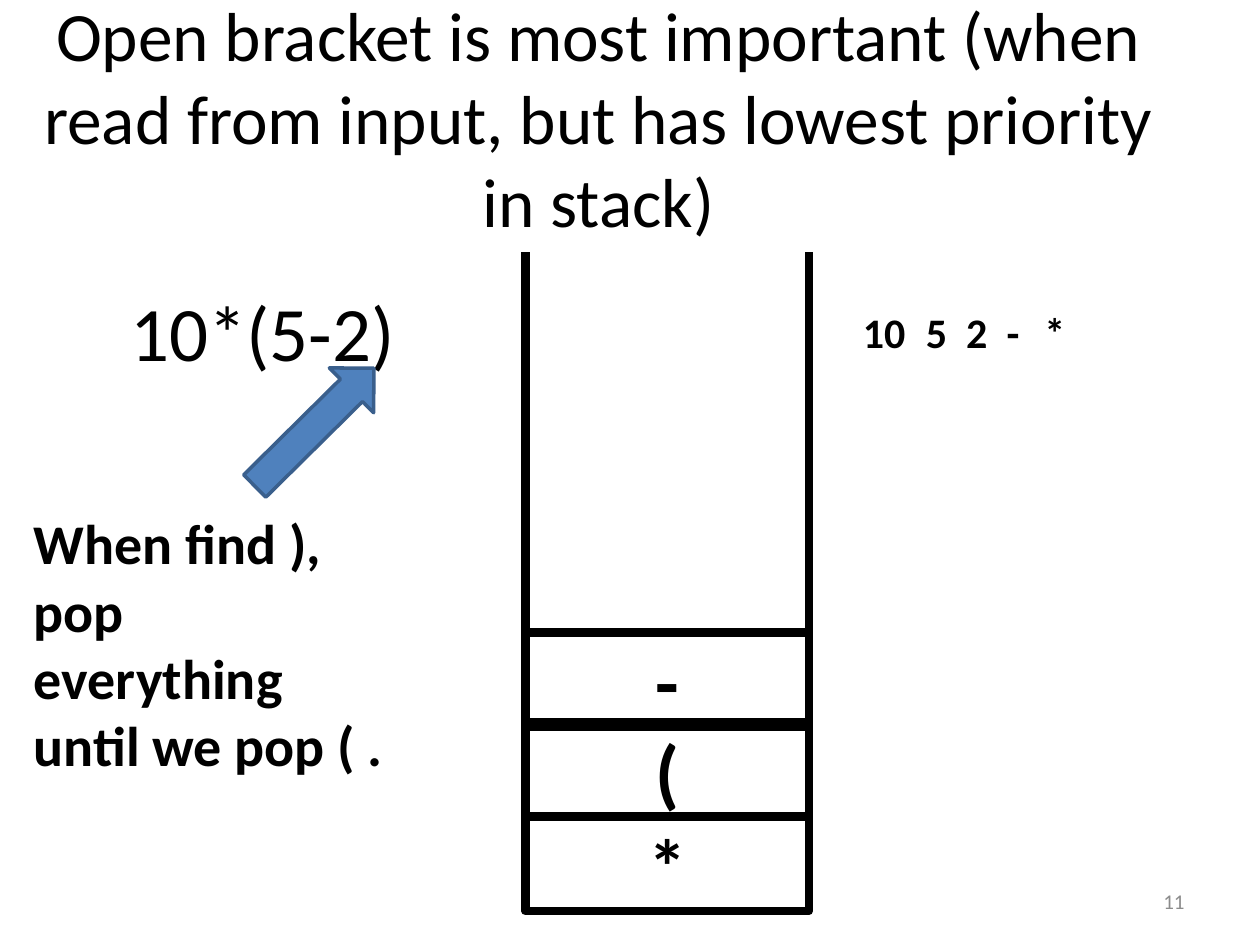
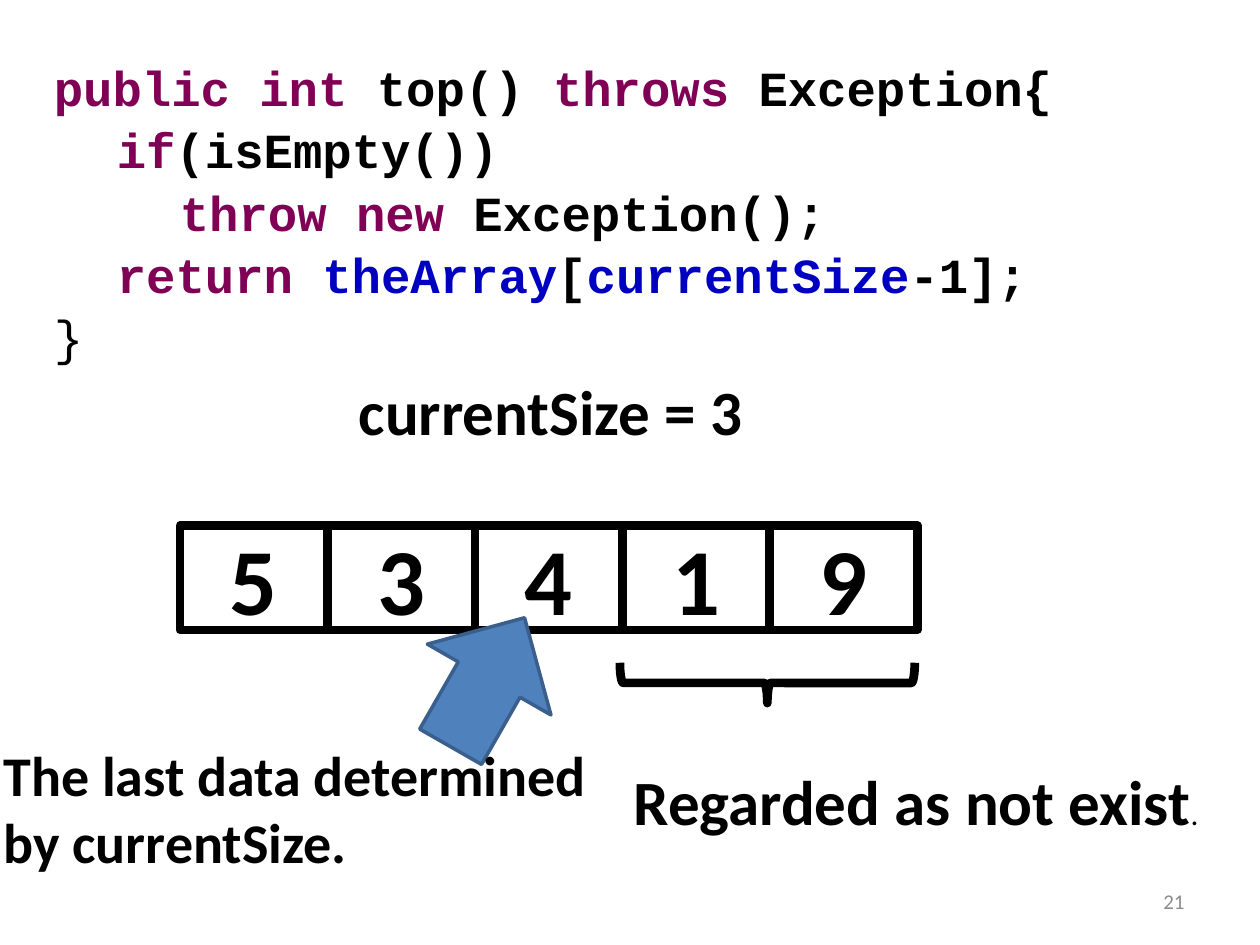
import pptx
import pptx.util
import pptx.dml.color
import pptx.enum.shapes
import pptx.enum.text
import pptx.oxml.ns
from lxml import etree

Inches = pptx.util.Inches
SHAPE = pptx.enum.shapes.MSO_SHAPE
ALIGN = pptx.enum.text.PP_ALIGN
ANCHOR = pptx.enum.text.MSO_ANCHOR

BLACK, WHITE, GREY = "000000", "FFFFFF", "8C8C8C"
ARROW_FILL, ARROW_LINE = "4F81BD", "3A5F8C"
KEYWORD, FIELD = "7F0055", "0000C0"
THICK = 5

# Each code line is a list of (text, colour, bold)
CODE = [
    [("public int", KEYWORD, True), (" top() ", BLACK, True),
     ("throws", KEYWORD, True), (" Exception{", BLACK, True)],
    [("\tif", KEYWORD, True), ("(isEmpty())", BLACK, True)],
    [("\t\tthrow new", KEYWORD, True), (" Exception();", BLACK, True)],
    [("\treturn ", KEYWORD, True), ("theArray", FIELD, True), ("[", BLACK, True),
     ("currentSize", FIELD, True), ("-1];", BLACK, True)],
    [("}", BLACK, False)],
]


def rgb(value):
    return pptx.dml.color.RGBColor.from_string(value)


def place(item, left, top, width, height):
    frame = {"left": left, "top": top, "width": width, "height": height}
    for name, value in frame.items():
        setattr(item, name, Inches(value))


def add_span(para, text, size, color=BLACK, bold=True, font="Calibri"):
    span = para.add_run()
    span.text = text
    formats = {"size": pptx.util.Pt(size), "bold": bold, "name": font}
    for name, value in formats.items():
        setattr(span.font, name, value)
    span.font.color.rgb = rgb(color)


def set_frame(item, anchor):
    formats = {"word_wrap": True, "vertical_anchor": anchor,
               "auto_size": pptx.enum.text.MSO_AUTO_SIZE.NONE}
    for name, value in formats.items():
        setattr(item.text_frame, name, value)
    return item.text_frame.paragraphs[0]


def add_text(page, text, bounds, size, align=ALIGN.LEFT, anchor=ANCHOR.TOP, **look):
    box = page.shapes.add_textbox(*map(Inches, bounds))
    para = set_frame(box, anchor)
    para.alignment = align
    add_span(para, text, size, **look)
    return para


def add_title(page, text):
    title = page.shapes.title
    place(title, 0, 0.3, 9.5, 1.25)
    para = set_frame(title, ANCHOR.MIDDLE)
    para.alignment = ALIGN.CENTER
    add_span(para, text, 39.6, bold=False)


def add_number(page, number):
    add_text(page, number, (7.17, 6.95, 2.33, 0.4), 12, ALIGN.RIGHT,
             ANCHOR.MIDDLE, color=GREY, bold=False)


def add_figure(page, kind, bounds, fill=None, line=BLACK, weight=THICK, turn=0):
    figure = page.shapes.add_shape(kind, *map(Inches, bounds))
    figure.shadow.inherit = False
    figure.rotation = turn
    if fill:
        figure.fill.solid()
        figure.fill.fore_color.rgb = rgb(fill)
    else:
        figure.fill.background()
    figure.line.color.rgb = rgb(line)
    figure.line.width = pptx.util.Pt(weight)
    return figure


def add_cell(page, text, bounds, size, fill=None):
    cell = add_figure(page, SHAPE.RECTANGLE, bounds, fill)
    para = set_frame(cell, ANCHOR.MIDDLE)
    para.alignment = ALIGN.CENTER
    add_span(para, text, size)


def add_arrow(page, bounds, turn):
    add_figure(page, SHAPE.RIGHT_ARROW, bounds, ARROW_FILL, ARROW_LINE, 2, turn)


def add_line(page, *ends):
    line = page.shapes.add_connector(
        pptx.enum.shapes.MSO_CONNECTOR.STRAIGHT, *map(Inches, ends))
    line.line.color.rgb = rgb(BLACK)
    line.line.width = pptx.util.Pt(THICK)
    etree.SubElement(line._element.spPr, pptx.oxml.ns.qn("a:effectLst"))


def add_code(page, lines, bounds):
    box = page.shapes.add_textbox(*map(Inches, bounds))
    para = set_frame(box, ANCHOR.TOP)
    for index, line in enumerate(lines):
        if index:
            para = box.text_frame.add_paragraph()
        para.line_spacing = 1.06
        for text, color, bold in line:
            add_span(para, text, 28, color, bold, "Courier New")


def build_stack_page(deck):
    page = deck.slides.add_slide(deck.slide_layouts[5])
    add_title(page, "Open bracket is most important (when read from input, "
                    "but has lowest priority in stack)")

    # Open-topped stack and its contents
    left, right, top, bottom = 4.17, 6.42, 2, 7.23
    add_line(page, left, top, left, bottom)
    add_line(page, right, bottom, right, top)
    add_line(page, right, bottom, left, bottom)
    for symbol, cell_top in (("*", 6.48), ("(", 5.73), ("-", 5.02)):
        add_cell(page, symbol, (left, cell_top, right - left, 0.75), 44)

    # Input expression with the reading position
    add_text(page, "10*(5-2)", (0.67, 2, 2.83, 1.25), 44, ALIGN.CENTER,
             ANCHOR.MIDDLE, bold=False)
    add_arrow(page, (1.83, 3.14, 1.33, 0.5), 315.3)
    add_text(page, "When find ), pop everything until we pop ( .",
             (0.17, 3.99, 2.98, 2.26), 32)

    # Postfix output
    for token, token_left in zip(("10", "5", "2", "-", "*"),
                                 (6.75, 7.25, 7.57, 7.89, 8.19)):
        add_text(page, token, (token_left, 2.38, 0.64, 0.5), 24)
    add_number(page, "11")


def build_top_page(deck):
    page = deck.slides.add_slide(deck.slide_layouts[6])
    add_code(page, CODE, (0.33, 0.38, 9.67, 2.93))
    add_text(page, "currentSize = 3", (2.75, 2.91, 4.83, 0.71), 36)

    # Array cells
    cell_width = 1.17
    for index, value in enumerate("53419"):
        add_cell(page, value, (1.43 + index * cell_width, 4.17, cell_width, 0.83),
                 54, WHITE)

    # Ignored cells
    add_figure(page, SHAPE.RIGHT_BRACE, (5.93, 4.25, 0.32, 2 * cell_width), turn=90)
    para = add_text(page, "Regarded as not exist", (4.93, 6, 4.9, 0.71), 36)
    add_span(para, ".", 18, bold=False)

    # Top of the stack
    add_arrow(page, (3.28, 4.85, 1.18, 1.13), 299.8)
    add_text(page, "The last data determined by currentSize.",
             (-0.07, 5.83, 5.33, 1.18), 32)
    add_number(page, "21")


def main():
    deck = pptx.Presentation()
    deck.slide_width, deck.slide_height = Inches(10), Inches(7.5)
    build_stack_page(deck)
    build_top_page(deck)
    deck.save("out.pptx")


if __name__ == "__main__":
    main()
